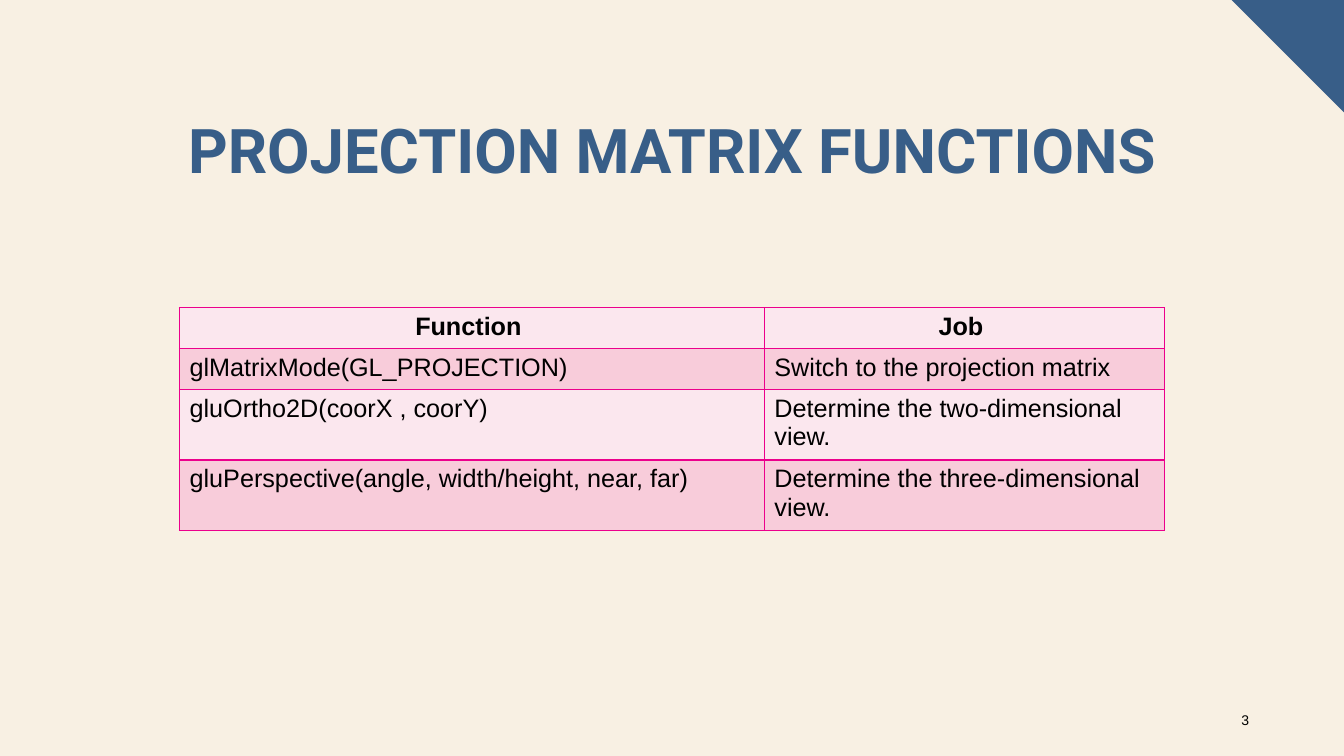
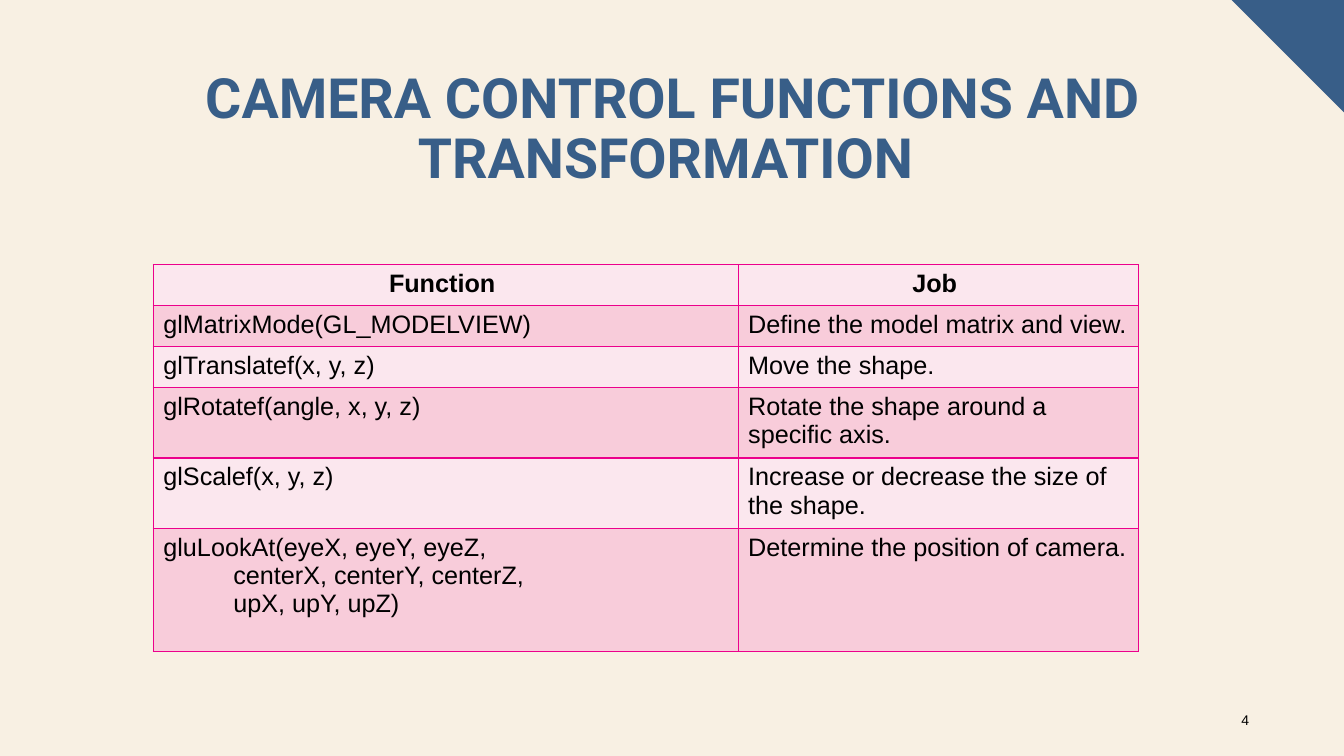
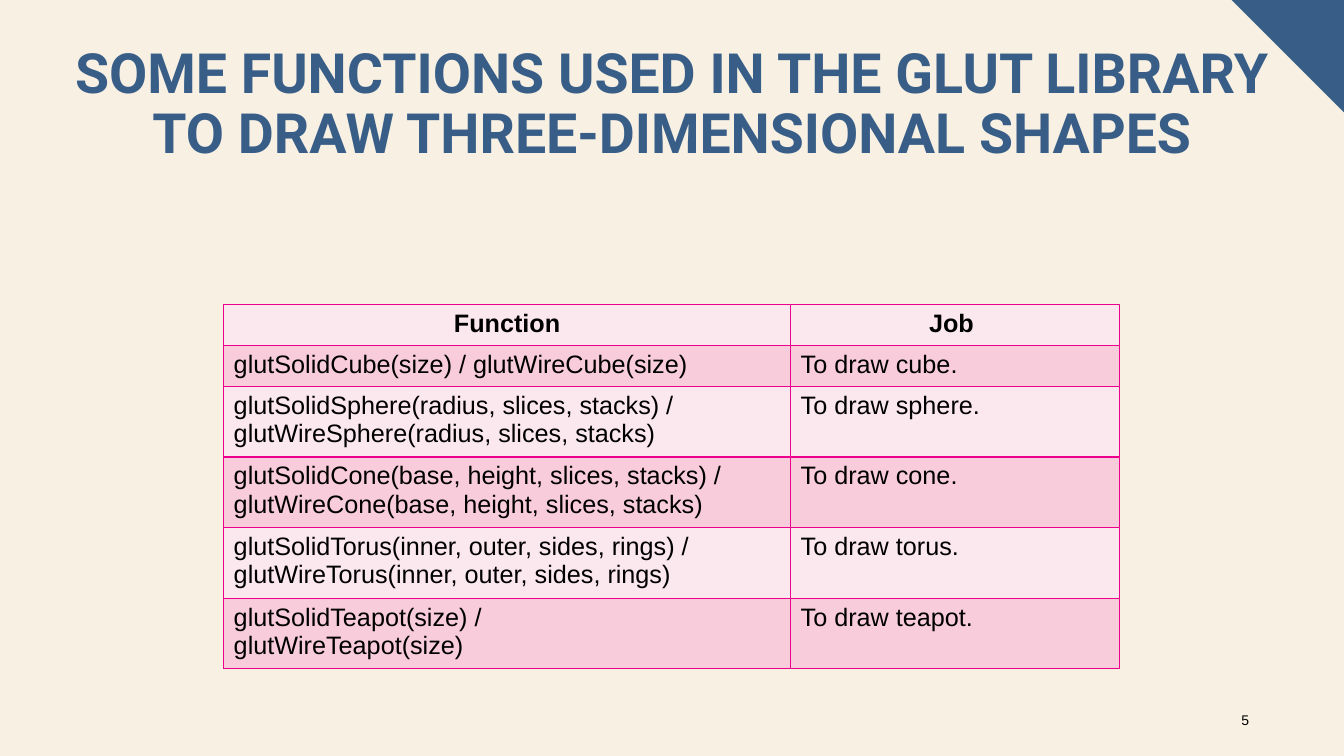
from lxml import etree
from pptx import Presentation
from pptx.dml.color import RGBColor
from pptx.enum.shapes import MSO_SHAPE
from pptx.enum.text import MSO_ANCHOR, PP_ALIGN
from pptx.oxml.ns import qn
from pptx.util import Pt

PX = 9525
SLIDE_W, SLIDE_H = 1280, 720

CREAM = RGBColor(0xF8, 0xF0, 0xE3)
NAVY = RGBColor(0x38, 0x5E, 0x88)
BLACK = RGBColor(0x00, 0x00, 0x00)
PALE_PINK = RGBColor(0xFB, 0xE7, 0xEE)
PINK = RGBColor(0xF8, 0xCC, 0xDA)
MAGENTA = RGBColor(0xEC, 0x00, 0x8C)

TITLE_FONT, BODY_FONT = "Roboto", "Arial"
CENTER, LEFT, RIGHT = PP_ALIGN.CENTER, PP_ALIGN.LEFT, PP_ALIGN.RIGHT
MIDDLE = MSO_ANCHOR.MIDDLE
RIGHT_TRIANGLE = MSO_SHAPE.RIGHT_TRIANGLE

CORNER_BOX = (1173, 0, 107, 107)
NUMBER_BOX = (1151, 667, 48, 38)
ONE_LINE, TWO_LINES, CALL_BLOCK = 39, 64, 117

SLIDES = [
    dict(
        number=3,
        title="PROJECTION MATRIX FUNCTIONS",
        title_size=44,
        title_box=(146, 110, 989, 83),
        table_at=(171, 293),
        columns=(557, 381),
        rows=[
            (ONE_LINE, "Function ", "Job "),
            (ONE_LINE, "glMatrixMode(GL_PROJECTION)", "Switch to the projection matrix"),
            (TWO_LINES, "gluOrtho2D(coorX , coorY)", "Determine the two-dimensional view."),
            (TWO_LINES, "gluPerspective(angle, width/height, near, far)",
             "Determine the three-dimensional view."),
        ],
    ),
    dict(
        number=4,
        title="CAMERA CONTROL FUNCTIONS AND TRANSFORMATION ",
        title_size=39.6,
        title_box=(146, 63, 989, 83),
        table_at=(146, 252),
        columns=(557, 381),
        rows=[
            (ONE_LINE, "Function ", "Job "),
            (ONE_LINE, "glMatrixMode(GL_MODELVIEW)", "Define the model matrix and view."),
            (ONE_LINE, "glTranslatef(x, y, z)", "Move the shape."),
            (TWO_LINES, "glRotatef(angle, x, y, z)", "Rotate the shape around a specific axis."),
            (TWO_LINES, "glScalef(x, y, z)", "Increase or decrease the size of the shape."),
            (CALL_BLOCK,
             "gluLookAt(eyeX, eyeY, eyeZ,\n"
             "          centerX, centerY, centerZ,\n"
             "          upX, upY, upZ)",
             "Determine the position of camera."),
        ],
    ),
    dict(
        number=5,
        title="SOME FUNCTIONS USED IN THE GLUT LIBRARY TO DRAW THREE-DIMENSIONAL SHAPES",
        title_size=39.6,
        title_box=(58, 39, 1164, 139),
        table_at=(213, 290),
        columns=(540, 313),
        rows=[
            (ONE_LINE, "Function", "Job "),
            (ONE_LINE, "glutSolidCube(size) / glutWireCube(size)", "To draw cube."),
            (TWO_LINES,
             "glutSolidSphere(radius, slices, stacks) /\nglutWireSphere(radius, slices, stacks)",
             "To draw sphere."),
            (TWO_LINES,
             "glutSolidCone(base, height, slices, stacks) /\nglutWireCone(base, height, slices, stacks)",
             "To draw cone."),
            (TWO_LINES,
             "glutSolidTorus(inner, outer, sides, rings) /\nglutWireTorus(inner, outer, sides, rings)",
             "To draw torus."),
            (TWO_LINES, "glutSolidTeapot(size) /\nglutWireTeapot(size)", "To draw teapot."),
        ],
    ),
]


def emu(*lengths):
    return [length * PX for length in lengths]


def write(frame, text, size, font=BODY_FONT, color=BLACK, bold=False, align=LEFT, spacing=None):
    frame.word_wrap = True
    for index, line in enumerate(text.split("\n")):
        paragraph = frame.add_paragraph() if index else frame.paragraphs[0]
        paragraph.alignment = align
        if spacing:
            paragraph.line_spacing = spacing
        run = paragraph.add_run()
        run.text = line
        run.font.name = font
        run.font.size = Pt(size)
        run.font.bold = bold
        run.font.color.rgb = color


def add_corner(slide, box):
    corner = slide.shapes.add_shape(RIGHT_TRIANGLE, *emu(*box))
    corner.rotation = 180
    corner.shadow.inherit = False
    corner.fill.solid()
    corner.fill.fore_color.rgb = NAVY
    corner.line.fill.background()


def add_title(slide, box, text, size):
    frame = slide.shapes.add_textbox(*emu(*box)).text_frame
    write(frame, text, size, TITLE_FONT, NAVY, True, CENTER, 0.9)


def add_number(slide, box, number):
    frame = slide.shapes.add_textbox(*emu(*box)).text_frame
    frame.vertical_anchor = MIDDLE
    write(frame, str(number), 10, align=RIGHT)


def outline(cell):
    properties = cell._tc.get_or_add_tcPr()
    for position, side in enumerate(("a:lnL", "a:lnR", "a:lnT", "a:lnB")):
        border = etree.Element(qn(side), w=str(Pt(1)))
        fill = etree.SubElement(border, qn("a:solidFill"))
        etree.SubElement(fill, qn("a:srgbClr"), val=str(MAGENTA))
        properties.insert(position, border)


def add_function_table(slide, corner, columns, rows):
    size = (sum(columns), sum(row[0] for row in rows))
    table = slide.shapes.add_table(len(rows), len(columns), *emu(*corner, *size)).table
    table.first_row = False
    table.horz_banding = False
    for column, width in zip(table.columns, columns):
        column.width = width * PX
    for index, (height, *texts) in enumerate(rows):
        table.rows[index].height = height * PX
        header = index == 0
        for cell, text in zip(table.rows[index].cells, texts):
            cell.fill.solid()
            cell.fill.fore_color.rgb = PINK if index % 2 else PALE_PINK
            outline(cell)
            write(cell.text_frame, text, 18, bold=header, align=CENTER if header else LEFT)


def add_function_slide(prs, content):
    slide = prs.slides.add_slide(prs.slide_layouts[6])
    add_corner(slide, CORNER_BOX)
    add_title(slide, content["title_box"], content["title"], content["title_size"])
    add_number(slide, NUMBER_BOX, content["number"])
    add_function_table(slide, content["table_at"], content["columns"], content["rows"])


def main():
    prs = Presentation()
    prs.slide_width, prs.slide_height = emu(SLIDE_W, SLIDE_H)
    backdrop = prs.slide_master.background.fill
    backdrop.solid()
    backdrop.fore_color.rgb = CREAM
    for content in SLIDES:
        add_function_slide(prs, content)
    prs.save("out.pptx")


if __name__ == "__main__":
    main()
